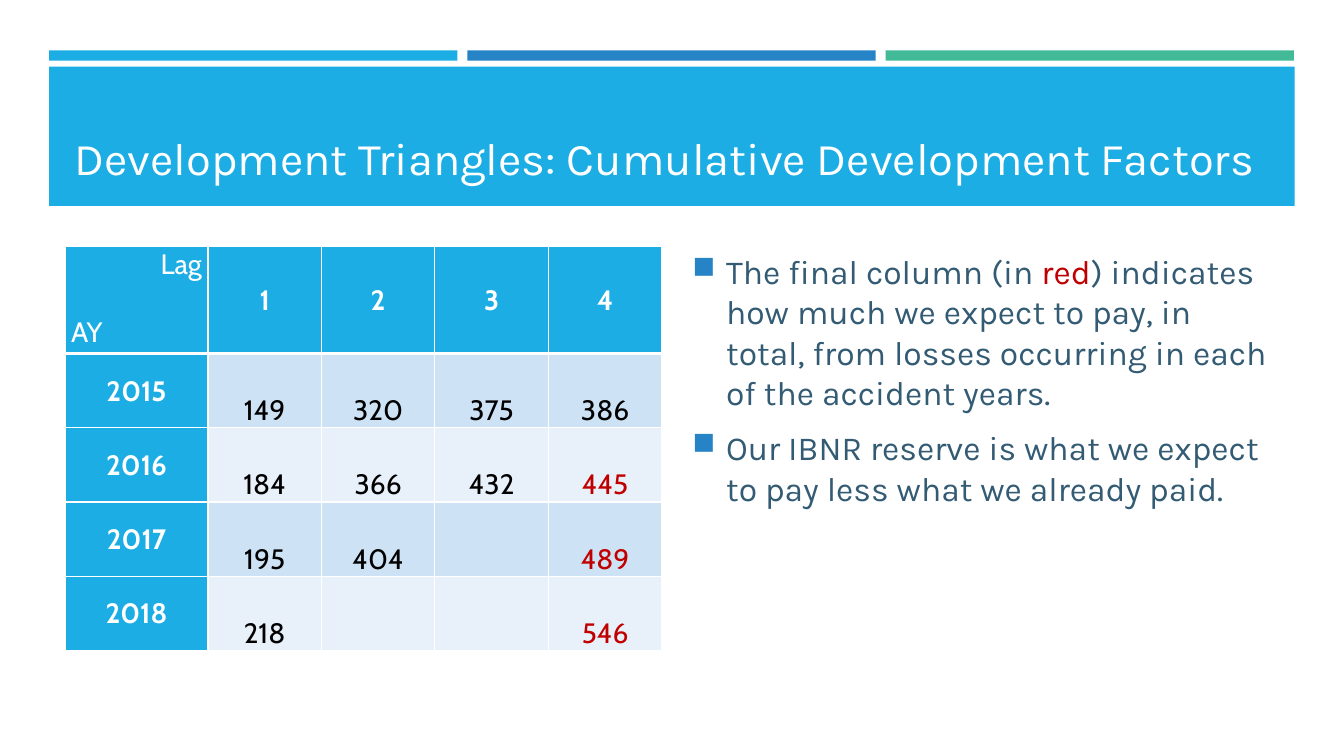
from dataclasses import dataclass

from lxml import etree
from pptx import Presentation
from pptx.dml.color import RGBColor
from pptx.enum import shapes, text
from pptx.oxml import ns
from pptx.util import Cm, Pt

CYAN, BLUE, GREEN = "1CADE4", "2683C6", "42BA97"
WHITE, BLACK, RED, SLATE = "FFFFFF", "000000", "C00000", "335B74"
BANDS = ("CDE3F5", "E8F1FA")


@dataclass
class Bar:
    left: float
    top: float
    width: float
    height: float
    color: str


@dataclass
class CellStyle:
    fill: str
    color: str
    bold: bool
    anchor: text.MSO_ANCHOR
    side_margin: float = 0
    bottom_line: float = 1


HEADER = CellStyle(CYAN, WHITE, True, text.MSO_ANCHOR.MIDDLE, bottom_line=3)
CORNER = CellStyle(CYAN, WHITE, False, text.MSO_ANCHOR.TOP, 0.15, 3)
YEAR = CellStyle(CYAN, WHITE, True, text.MSO_ANCHOR.MIDDLE)

BAR_WIDTH, BAR_PITCH = 10.29, 10.54
BARS = [Bar(1.24 + i * BAR_PITCH, 1.27, BAR_WIDTH, 0.26, color)
        for i, color in enumerate((CYAN, BLUE, GREEN))]
BARS.append(Bar(1.24, 1.68, 31.39, 3.51, CYAN))

LAGS = ("1", "2", "3", "4")
LOSSES = {
    "2015": ("149", "320", "375", "386"),
    "2016": ("184", "366", "432", "445"),
    "2017": ("195", "404", "", "489"),
    "2018": ("218", "", "", "546"),
}
POINTS = (
    (("The final column (in ", SLATE), ("red", RED),
     (") indicates how much we expect to pay, in total, from losses "
      "occurring in each of the accident years.", SLATE)),
    (("Our IBNR reserve is what we expect to pay less what we already paid.",
      SLATE),),
)


def rgb(color: str) -> RGBColor:
    return RGBColor.from_string(color)


def add_xml(parent, tag: str, **attrs):
    return etree.SubElement(parent, ns.qn(tag), attrs)


def set_font(font, name: str, size: float, color: str, bold: bool = False) -> None:
    font.name, font.size, font.bold = name, Pt(size), bold
    font.color.rgb = rgb(color)


def add_bar(s, bar: Bar) -> None:
    sp = s.shapes.add_shape(shapes.MSO_SHAPE.RECTANGLE, Cm(bar.left), Cm(bar.top),
                            Cm(bar.width), Cm(bar.height))
    sp.shadow.inherit = False
    sp.fill.solid()
    sp.fill.fore_color.rgb = rgb(bar.color)
    sp.line.fill.background()


def format_title(s, title: str) -> None:
    sp = s.shapes.title
    s.shapes.element.append(sp.element)  # in front of the banner
    sp.left, sp.top, sp.width, sp.height = Cm(1.63), Cm(2.03), Cm(30.63), Cm(2.74)
    tf = sp.text_frame
    tf.text = title
    tf.auto_size = text.MSO_AUTO_SIZE.NONE
    tf.vertical_anchor = text.MSO_ANCHOR.BOTTOM
    p = tf.paragraphs[0]
    p.alignment = text.PP_ALIGN.LEFT
    set_font(p.font, "Karla", 32.4, WHITE)


def add_borders(cell, bottom_line: float) -> None:
    tc_pr = cell._tc.get_or_add_tcPr()
    for side in "LRTB":
        width = bottom_line if side == "B" else 1
        line = add_xml(tc_pr, f"a:ln{side}", w=str(Pt(width)))
        add_xml(add_xml(line, "a:solidFill"), "a:srgbClr", val=WHITE)


def fill_cell(cell, value: str, style: CellStyle) -> None:
    add_borders(cell, style.bottom_line)
    cell.fill.solid()
    cell.fill.fore_color.rgb = rgb(style.fill)
    cell.vertical_anchor = style.anchor
    cell.margin_left = cell.margin_right = Cm(style.side_margin)
    cell.margin_top, cell.margin_bottom = Cm(0.03), Cm(0)
    cell.text = value
    for p in cell.text_frame.paragraphs:
        p.alignment = text.PP_ALIGN.CENTER
        set_font(p.font, "Cabin", 20, style.color, style.bold)


def add_triangle(s) -> None:
    """Add the table of losses by accident year and lag."""
    table = s.shapes.add_table(len(LOSSES) + 1, len(LAGS) + 1, Cm(1.64), Cm(6.2),
                               Cm(15.04), Cm(10.19)).table
    table.first_row = table.horz_banding = False
    for i, col in enumerate(table.columns):
        col.width = Cm(2.86 if i else 3.6)
    for i, row in enumerate(table.rows):
        row.height = Cm(1.87 if i else 2.71)

    corner = table.cell(0, 0)
    fill_cell(corner, "Lag\nAY", CORNER)
    lag, year = corner.text_frame.paragraphs
    lag.alignment, year.alignment = text.PP_ALIGN.RIGHT, text.PP_ALIGN.LEFT
    year.space_before = Pt(24)

    for col, value in enumerate(LAGS, 1):
        fill_cell(table.cell(0, col), value, HEADER)
    for row, (label, losses) in enumerate(LOSSES.items(), 1):
        fill_cell(table.cell(row, 0), label, YEAR)
        for col, value in enumerate(losses, 1):
            projected = row > 1 and col == len(LAGS)
            style = CellStyle(BANDS[(row - 1) % 2], RED if projected else BLACK,
                              False, text.MSO_ANCHOR.BOTTOM, 0.03)
            fill_cell(table.cell(row, col), value, style)


def add_bullet(p) -> None:
    p_pr = p._p.get_or_add_pPr()
    p_pr.set("marL", str(Cm(0.85)))
    p_pr.set("indent", str(-Cm(0.85)))
    add_xml(add_xml(p_pr, "a:buClr"), "a:srgbClr", val=BLUE)
    add_xml(p_pr, "a:buSzPct", val="92000")
    add_xml(p_pr, "a:buChar", char="■")


def add_points(s) -> None:
    tf = s.shapes.add_textbox(Cm(17.2), Cm(6.2), Cm(15.06), Cm(10.08)).text_frame
    tf.word_wrap = True
    for i, runs in enumerate(POINTS):
        p = tf.add_paragraph() if i else tf.paragraphs[0]
        add_bullet(p)
        p.space_before, p.space_after = Pt(4.8), Pt(6)
        set_font(p.font, "Karla", 24, SLATE)
        for value, color in runs:
            r = p.add_run()
            r.text = value
            if color != SLATE:
                r.font.color.rgb = rgb(color)


def main() -> None:
    prs = Presentation()
    prs.slide_width, prs.slide_height = Cm(33.87), Cm(19.05)
    s = prs.slides.add_slide(prs.slide_layouts[5])
    for bar in BARS:
        add_bar(s, bar)
    format_title(s, "Development Triangles: Cumulative Development Factors")
    add_triangle(s)
    add_points(s)
    prs.save("out.pptx")


if __name__ == "__main__":
    main()
